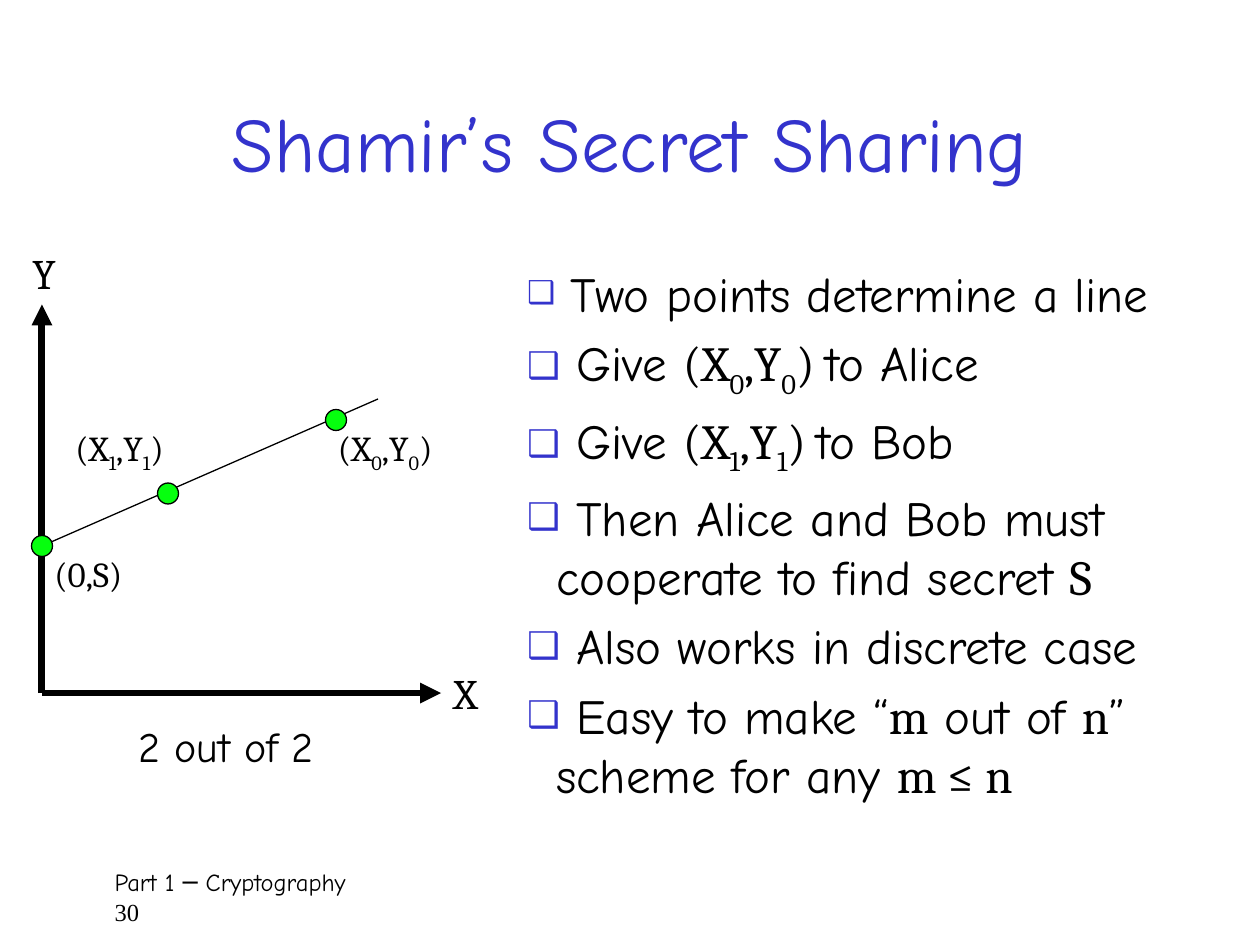
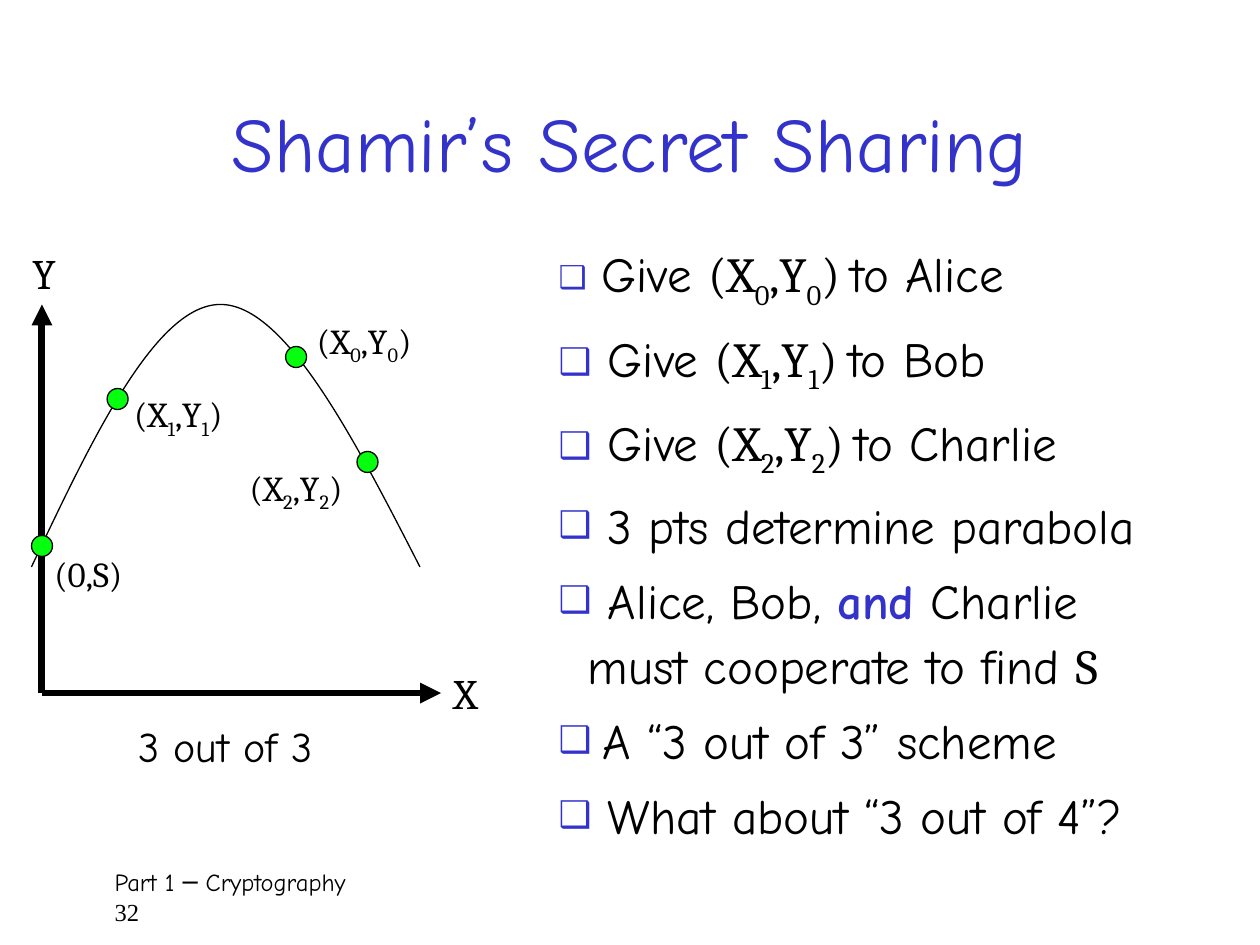
from lxml import etree
from pptx import Presentation
from pptx.dml.color import RGBColor
from pptx.enum.shapes import MSO_CONNECTOR, MSO_SHAPE
from pptx.enum.text import MSO_ANCHOR, MSO_AUTO_SIZE, PP_ALIGN
from pptx.oxml.ns import qn
from pptx.util import Inches, Pt

STRAIGHT = MSO_CONNECTOR.STRAIGHT
OVAL = MSO_SHAPE.OVAL
MIDDLE = MSO_ANCHOR.MIDDLE
CENTER = PP_ALIGN.CENTER
GROW = MSO_AUTO_SIZE.SHAPE_TO_FIT_TEXT

BLACK = RGBColor(0x00, 0x00, 0x00)
BLUE = RGBColor(0x33, 0x33, 0xCC)
GREEN = RGBColor(0x06, 0xFF, 0x0E)

WORDS = "Comic Neue"
MATH = "Cambria"
NUMBERS = "Times New Roman"

SLIDE_WIDTH, SLIDE_HEIGHT = Inches(10), Inches(7.5)
CELL = SLIDE_WIDTH // 120  # the grid has 120 columns and 90 rows

ORIGIN = (4, 66)
X_END, Y_END = (42, 66), (4, 29)
SECRET = (4, 52)
DOT_SIZE = 2
POINT_LABEL_SIZE = (12.4, 5.2)
SECRET_LABEL_SIZE = (9.6, 5.2)
AXIS_LABEL_SIZE = (5, 6)


def cells(*counts):
    return [round(count * CELL) for count in counts]


def math(text, **style):
    return text, {"name": MATH, **style}


def share(index):
    """Runs of the point with this index, such as (X0,Y0)."""
    subscript = math(index, subscript=True)
    return [math("(X"), subscript, math(",Y"), subscript, math(")")]


def give(index, person):
    return [" Give ", *share(index), math(" "), f"to {person}"]


def set_font(font, name=None, size=None, color=None, bold=None):
    if name:
        font.name = name
    if size:
        font.size = Pt(size)
    if color is not None:
        font.color.rgb = color
    if bold:
        font.bold = True


def write(paragraph, runs, size, name=WORDS, color=BLACK):
    """Fill a paragraph with runs: plain strings or (text, style) pairs."""
    set_font(paragraph.font, name, size, color)
    for item in runs:
        text, style = (item, {}) if isinstance(item, str) else item
        style = dict(style)
        run = paragraph.add_run()
        run.text = text
        if style.pop("subscript", False):
            run.font._element.set("baseline", "-25000")
        set_font(run.font, **style)


def add_bullet(paragraph):
    properties = paragraph._p.get_or_add_pPr()
    properties.set("marL", str(Inches(0.23)))
    properties.set("indent", str(-Inches(0.23)))
    color = etree.SubElement(properties, qn("a:buClr"))
    etree.SubElement(color, qn("a:srgbClr"), val=str(BLUE))
    etree.SubElement(properties, qn("a:buSzPct"), val="75000")
    etree.SubElement(properties, qn("a:buChar"), char="❑")


def place(shape, left, top, width, height):
    shape.left, shape.top, shape.width, shape.height = cells(left, top, width, height)


def add_title(slide, text):
    title = slide.shapes.title
    place(title, 9, 6, 102, 15)
    title.text_frame.vertical_anchor = MIDDLE
    heading = title.text_frame.paragraphs[0]
    heading.alignment = CENTER
    write(heading, [text], 44, color=BLUE)


def add_list(slide, box, items, line_spacing):
    body = slide.placeholders[1]
    place(body, *box)
    frame = body.text_frame
    frame.auto_size = GROW
    for number, runs in enumerate(items):
        paragraph = frame.add_paragraph() if number else frame.paragraphs[0]
        add_bullet(paragraph)
        paragraph.space_before = Pt(0)
        paragraph.space_after = Pt(6)
        paragraph.line_spacing = line_spacing
        write(paragraph, runs, 28)


def add_footer(slide, number):
    frame = slide.shapes.add_textbox(*cells(9, 82, 103, 6)).text_frame
    frame.word_wrap = True
    frame.margin_left = Inches(0.16)
    write(frame.paragraphs[0], ["Part 1 ─ Cryptography"], 14)
    write(frame.add_paragraph(), [str(number)], 14, NUMBERS)


def add_label(slide, corner, size, runs, points, name=MATH):
    frame = slide.shapes.add_textbox(*cells(*corner, *size)).text_frame
    frame.word_wrap = False
    frame.auto_size = GROW
    write(frame.paragraphs[0], runs, points, name)


def add_line(slide, start, end, weight=0.75, arrow=False):
    connector = slide.shapes.add_connector(STRAIGHT, *cells(*start, *end))
    connector.line.color.rgb = BLACK
    connector.line.width = Pt(weight)
    if arrow:
        etree.SubElement(connector.line._get_or_add_ln(), qn("a:tailEnd"), type="triangle")
    etree.SubElement(connector._element.spPr, qn("a:effectLst"))


def add_curve(slide, start, *controls):
    """Draw Bézier arcs, each given by three points after the start."""
    builder = slide.shapes.build_freeform(*cells(*start))
    builder.add_line_segments([cells(*point) for point in controls], close=False)
    curve = builder.convert_to_shape()
    curve.shadow.inherit = False
    curve.fill.background()
    curve.line.color.rgb = BLACK
    curve.line.width = Pt(0.75)
    outline = curve._element.find(".//" + qn("a:path"))
    steps = outline.findall(qn("a:lnTo"))
    for first in range(0, len(steps), 3):
        arc = etree.SubElement(outline, qn("a:cubicBezTo"))
        for step in steps[first:first + 3]:
            arc.append(step[0])
            outline.remove(step)


def add_dot(slide, center):
    x, y = center
    corner = (x - DOT_SIZE / 2, y - DOT_SIZE / 2)
    dot = slide.shapes.add_shape(OVAL, *cells(*corner, DOT_SIZE, DOT_SIZE))
    dot.shadow.inherit = False
    dot.fill.solid()
    dot.fill.fore_color.rgb = GREEN
    dot.line.color.rgb = BLACK
    dot.line.width = Pt(0.75)


def add_axes(slide, caption):
    for end in (X_END, Y_END):
        add_line(slide, ORIGIN, end, weight=4, arrow=True)
    add_label(slide, (42, 63), AXIS_LABEL_SIZE, ["X"], 24)
    add_label(slide, (1.9, 23), AXIS_LABEL_SIZE, ["Y"], 24)
    add_label(slide, (12, 68), (21, 6.8), [caption], 24, WORDS)


def add_shares(slide, shares):
    """Mark the secret and each share, given as (dot centre, label corner)."""
    add_dot(slide, SECRET)
    add_label(slide, SECRET, SECRET_LABEL_SIZE, ["(0,S)"], 20)
    for index, (center, corner) in enumerate(shares):
        add_dot(slide, center)
        add_label(slide, corner, POINT_LABEL_SIZE, share(str(index)), 20)


def add_scheme(deck, number, caption, list_box, items, line_spacing=1.0):
    """Add a slide with title, list, axes and footer."""
    slide = deck.slides.add_slide(deck.slide_layouts[1])
    add_title(slide, "Shamir’s Secret Sharing")
    add_list(slide, list_box, items, line_spacing)
    add_axes(slide, caption)
    add_footer(slide, number)
    return slide


def main():
    deck = Presentation()
    deck.slide_width, deck.slide_height = SLIDE_WIDTH, SLIDE_HEIGHT
    small_gap = (" ", {"size": 24})

    line_scheme = add_scheme(deck, 30, "2 out of 2", (49, 24.5, 69, 51.5), [
        [small_gap, "Two points determine a line"],
        give("0", "Alice"),
        give("1", "Bob"),
        [" Then Alice and Bob must cooperate to find secret ", math("S")],
        [" Also works in discrete case"],
        [" Easy to make “", math("m"), " out of ", math("n"),
         "” scheme for any ", math("m ≤ n")],
    ])
    add_line(line_scheme, SECRET, (36, 38))
    add_shares(line_scheme, [((32, 40), (31, 40)), ((16, 47), (6, 40))])

    parabola_scheme = add_scheme(deck, 32, "3 out of 3", (52, 22, 62, 56.9), [
        [small_gap, "Give ", *give("0", "Alice")[1:]],
        give("1", "Bob"),
        give("2", "Charlie"),
        [" 3 pts determine parabola"],
        [" Alice, Bob, ", ("and", {"color": BLUE, "bold": True}),
         " Charlie must cooperate to find ", math("S")],
        [math(" "), "A “3 out of 3” scheme"],
        [" What about “3 out of 4”?"],
    ], line_spacing=1.1)
    add_curve(parabola_scheme, (3, 54), (8.9, 41.5), (14.9, 29), (21, 29),
              (27.1, 29), (33.6, 41.5), (40, 54))
    add_shares(parabola_scheme, [((28.2, 34), (29, 29.8)),
                                 ((11.2, 38), (11.6, 36.8)),
                                 ((35, 44), (22.6, 43.8))])

    deck.save("out.pptx")


if __name__ == "__main__":
    main()
